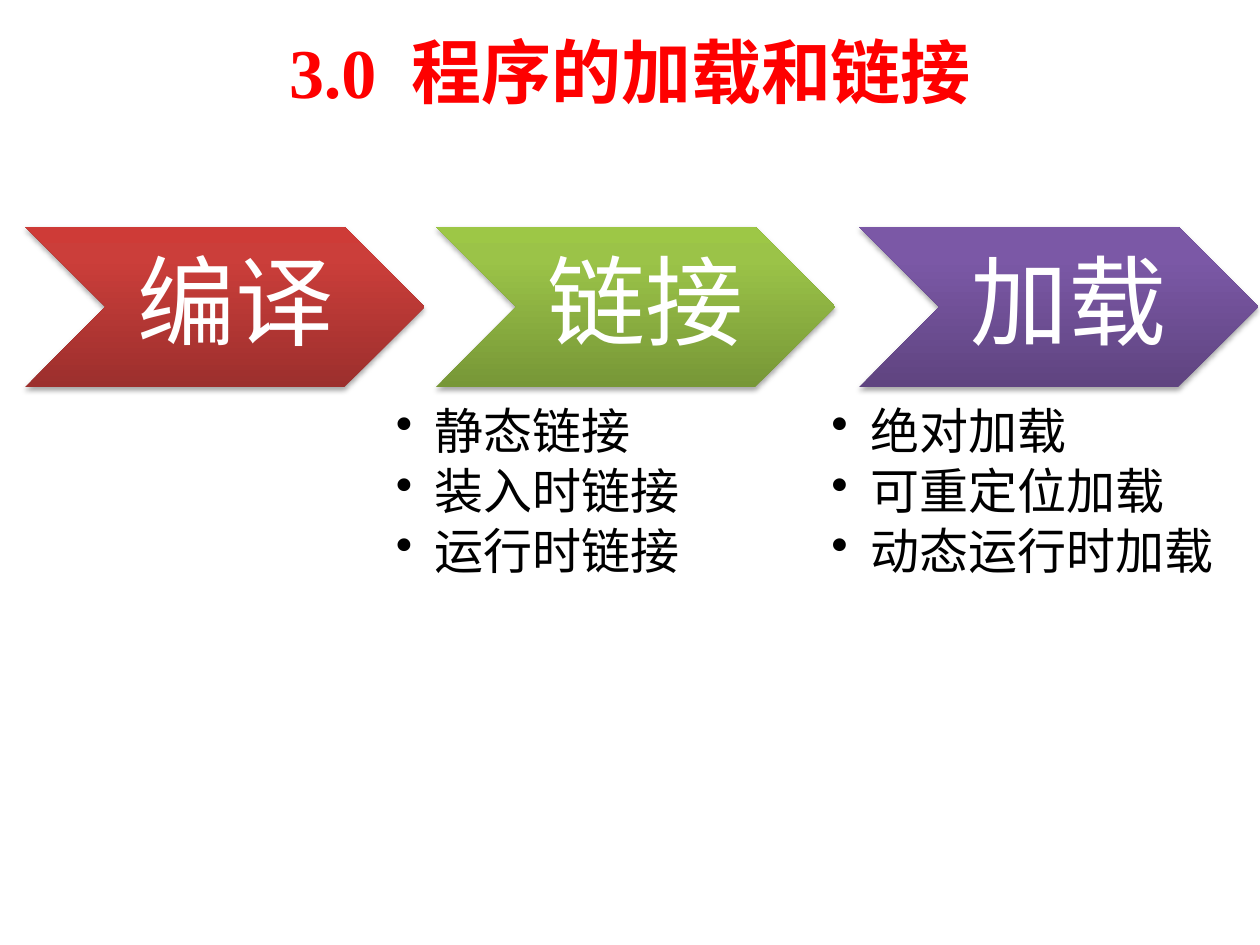
import copy

import pptx
import pptx.dml.color
import pptx.enum.shapes
import pptx.enum.text
import pptx.oxml
import pptx.oxml.ns
import pptx.util

Cm = pptx.util.Cm
Pt = pptx.util.Pt
qn = pptx.oxml.ns.qn

COLORS = {"title": "FE0000", "label": "FFFFFF", "body": "000000", "shadow": "000000"}
GRADIENTS = {
    "red": ("9C2F2D", "CB3E3A", "CE3B37"),
    "green": ("779737", "9BC348", "9DC746"),
    "purple": ("5F4480", "7B58A6", "7C57A8"),
}
STOP_POSITIONS = (0, 0.8, 1)
STAGES = [
    ("编译", "red", 0.51, None),
    ("链接", "green", 8.79, (7.98, 8.08, ["静态链接", "装入时链接", "运行时链接"])),
    ("加载", "purple", 17.32, (16.76, 8.64, ["绝对加载", "可重定位加载", "动态运行时加载"])),
]


def rgb(value):
    """Return the colour for a hex string."""
    return pptx.dml.color.RGBColor.from_string(value)


def set_font(font, name, size, color, bold=False):
    """Set the look of a font."""
    font.name, font.size, font.bold = name, Pt(size), bold
    font.color.rgb = rgb(color)


def set_margins(text_frame, left, others):
    """Set the left inset and the three other insets in centimetres."""
    text_frame.margin_left = Cm(left)
    text_frame.margin_top = text_frame.margin_right = text_frame.margin_bottom = Cm(others)


def add_title(slide, number, title):
    """Add the centred heading with a widened space after its number."""
    shape = slide.shapes.add_textbox(Cm(1.27), Cm(0.13), Cm(22.86), Cm(2.59))
    shape.text_frame.word_wrap = True
    shape.text_frame.vertical_anchor = pptx.enum.text.MSO_ANCHOR.MIDDLE
    paragraph = shape.text_frame.paragraphs[0]
    paragraph.alignment = pptx.enum.text.PP_ALIGN.CENTER
    for text in (number, " ", title):
        run = paragraph.add_run()
        run.text = text
        set_font(run.font, "Times New Roman", 40, COLORS["title"], True)
    paragraph.runs[1].font._element.set("spc", "1000")


def fill_gradient(shape, colors):
    """Fill a shape with a three-stop vertical gradient."""
    shape.fill.gradient()
    shape.fill.gradient_angle = 90
    stop_list = shape._element.spPr.find(".//" + qn("a:gsLst"))
    stop_list.append(copy.deepcopy(stop_list[0]))
    for stop, position, color in zip(shape.fill.gradient_stops, STOP_POSITIONS, colors):
        stop.position = position
        stop.color.rgb = rgb(color)


def add_shadow(shape):
    """Give a shape a soft shadow below it."""
    shape.shadow.inherit = False
    effects = shape._element.spPr.find(qn("a:effectLst"))
    effects.append(pptx.oxml.parse_xml(
        '<a:outerShdw xmlns:a="http://schemas.openxmlformats.org/drawingml/2006/main"'
        f' blurRad="{Pt(3.1)}" dist="{Pt(1.8)}" dir="5400000" rotWithShape="0">'
        f'<a:srgbClr val="{COLORS["shadow"]}"><a:alpha val="35000"/></a:srgbClr>'
        '</a:outerShdw>'))


def add_chevron(slide, label, colors, left):
    """Add one labelled stage of the process."""
    shape = slide.shapes.add_shape(
        pptx.enum.shapes.MSO_SHAPE.CHEVRON, Cm(left), Cm(4.57), Cm(8.05), Cm(3.23))
    fill_gradient(shape, colors)
    shape.line.fill.background()
    add_shadow(shape)
    text_frame = shape.text_frame
    set_margins(text_frame, 0.61, 0.2)
    text_frame.vertical_anchor = pptx.enum.text.MSO_ANCHOR.MIDDLE
    text_frame.text = label
    paragraph = text_frame.paragraphs[0]
    paragraph.alignment = pptx.enum.text.PP_ALIGN.CENTER
    paragraph.line_spacing = 0.9
    set_font(paragraph.runs[0].font, "Arial", 56, COLORS["label"])


def add_bullets(slide, left, width, items):
    """Add the bulleted list under a stage."""
    shape = slide.shapes.add_textbox(Cm(left), Cm(8.2), Cm(width), Cm(6.27))
    text_frame = shape.text_frame
    text_frame.word_wrap = True
    set_margins(text_frame, 0, 0)
    text_frame.text = "\n".join(items)
    for paragraph in text_frame.paragraphs:
        paragraph.line_spacing = 0.9
        paragraph.space_after = Pt(4.2)
        properties = paragraph._element.get_or_add_pPr()
        properties.set("marL", str(Cm(0.79)))
        properties.set("indent", str(-Cm(0.79)))
        bullet = properties.makeelement(qn("a:buChar"), {"char": "•"})
        properties.append(bullet)
        set_font(paragraph.runs[0].font, "Arial", 28, COLORS["body"])


def main():
    """Build and save the slide."""
    presentation = pptx.Presentation()
    presentation.slide_width, presentation.slide_height = Cm(25.4), Cm(19.05)
    slide = presentation.slides.add_slide(presentation.slide_layouts[6])
    add_title(slide, "3.0", "程序的加载和链接")
    for label, gradient, left, details in STAGES:
        add_chevron(slide, label, GRADIENTS[gradient], left)
        if details:
            add_bullets(slide, *details)
    presentation.save("out.pptx")


if __name__ == "__main__":
    main()
